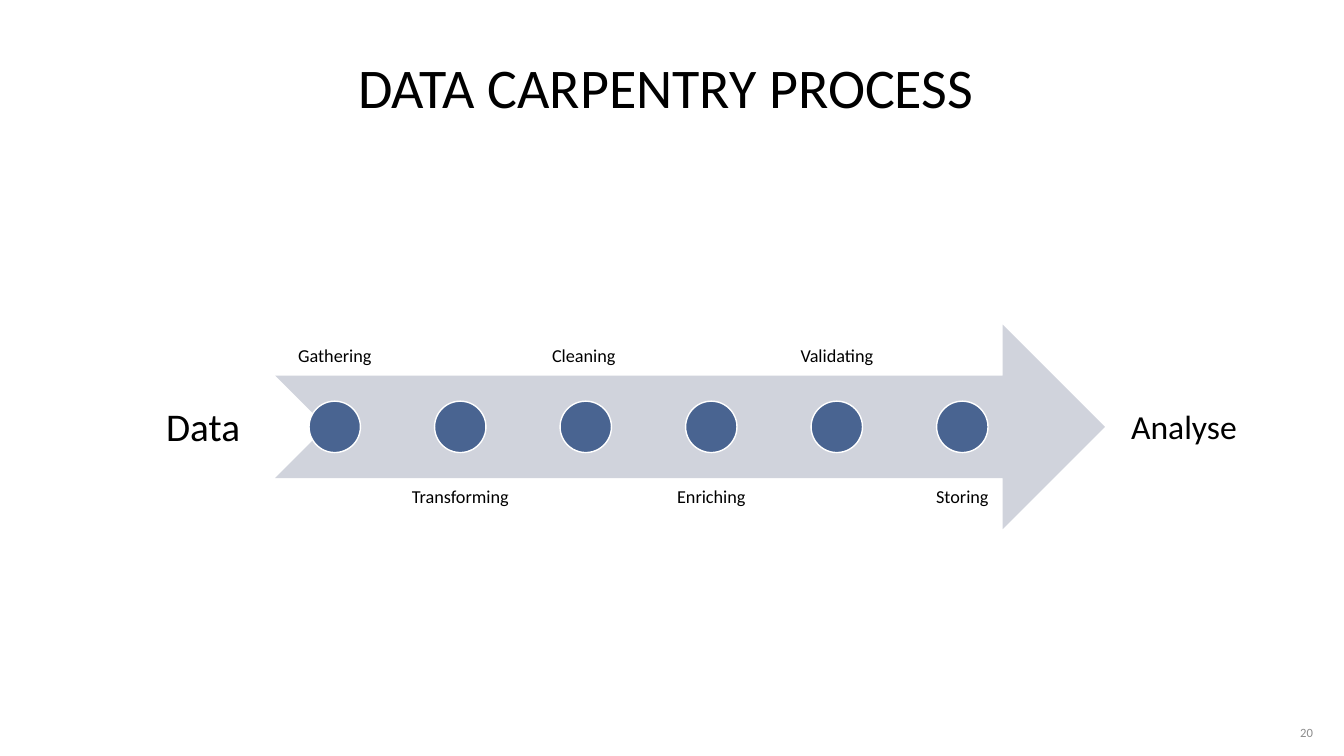
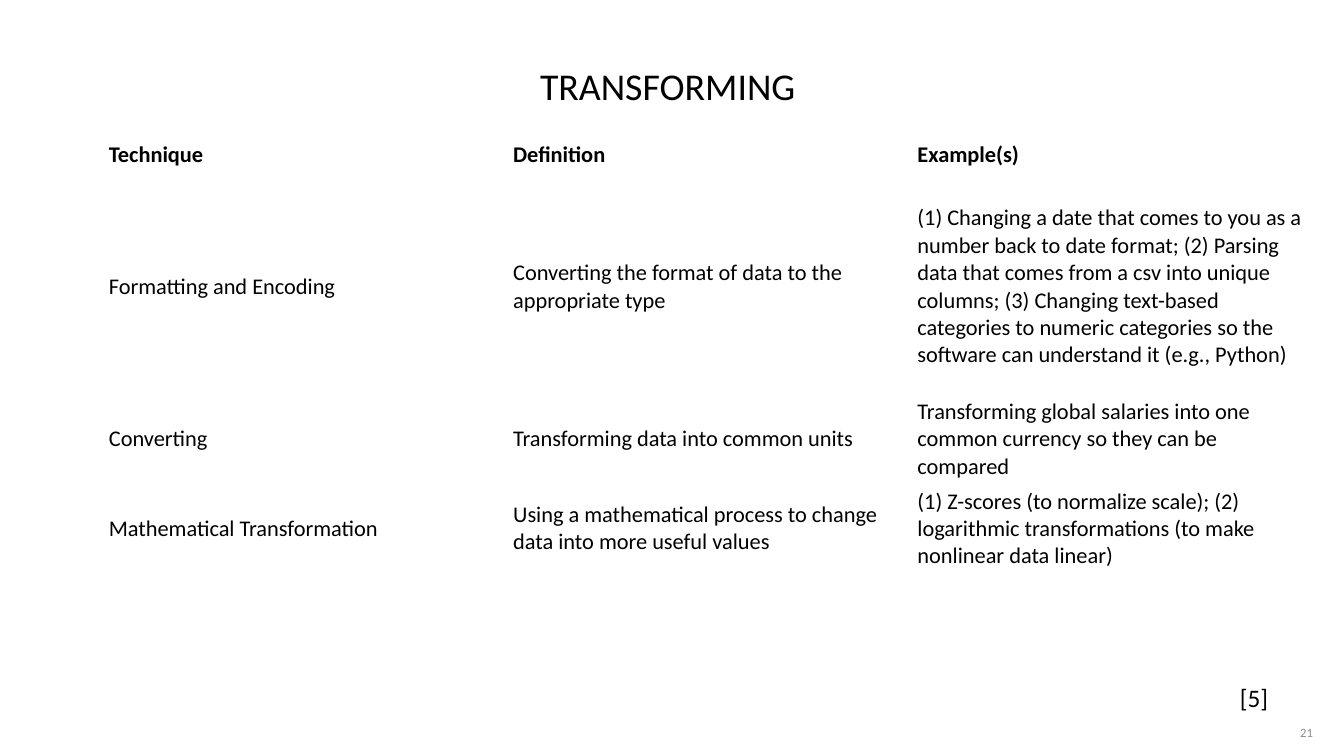
from pptx import Presentation
from pptx.dml.color import RGBColor
from pptx.enum import shapes, text
from pptx.util import Inches, Pt

FONT = "Calibri"
BLACK, GREY, PALE, BLUE, WHITE = "000000", "8C8C8C", "D0D3DC", "496491", "FFFFFF"
LEFT, CENTER, RIGHT = text.PP_ALIGN.LEFT, text.PP_ALIGN.CENTER, text.PP_ALIGN.RIGHT
TOP, MIDDLE, BOTTOM = text.MSO_ANCHOR.TOP, text.MSO_ANCHOR.MIDDLE, text.MSO_ANCHOR.BOTTOM

STEPS = ["Gathering", "Transforming ", "Cleaning ", "Enriching", "Validating", "Storing"]
TECHNIQUES = [
    ("Technique", "Definition", "Example(s)"),
    ("Formatting and Encoding",
     "Converting the format of data to the appropriate type",
     "(1) Changing a date that comes to you as a number back to date format; "
     "(2) Parsing data that comes from a csv into unique columns; "
     "(3) Changing text-based categories to numeric categories so the software "
     "can understand it (e.g., Python)"),
    ("Converting",
     "Transforming data into common units",
     "Transforming global salaries into one common currency so they can be compared"),
    ("Mathematical Transformation",
     "Using a mathematical process to change data into more useful values",
     "(1) Z-scores (to normalize scale); (2) logarithmic transformations "
     "(to make nonlinear data linear)"),
]


def rgb(color):
    return RGBColor.from_string(color)


def write(frame, words, size, color=BLACK, align=LEFT, bold=False):
    frame.text = words
    paragraph = frame.paragraphs[0]
    paragraph.alignment = align
    font = paragraph.runs[0].font
    font.name, font.size, font.bold = FONT, Pt(size), bold
    font.color.rgb = rgb(color)
    return paragraph


def add_label(parent, words, box, size, color=BLACK, align=LEFT, anchor=TOP):
    frame = parent.add_textbox(*map(Inches, box)).text_frame
    frame.word_wrap = True
    frame.vertical_anchor = anchor
    write(frame, words, size, color, align)
    return frame


def add_filled(parent, preset, box, fill, outline=None):
    shape = parent.add_shape(preset, *map(Inches, box))
    shape.shadow.inherit = False
    shape.fill.solid()
    shape.fill.fore_color.rgb = rgb(fill)
    if outline:
        shape.line.color.rgb = rgb(outline)
        shape.line.width = Pt(1)
    else:
        shape.line.fill.background()


def add_slide(prs, title, size, number):
    """Add a slide with the shared title and page number."""
    slide = prs.slides.add_slide(prs.slide_layouts[5])
    heading = slide.shapes.title
    heading.left, heading.top, heading.width, heading.height = map(
        Inches, (0.65, 0.4, 12.03, 0.9))
    heading.text_frame.vertical_anchor = MIDDLE
    write(heading.text_frame, title, size, align=CENTER)
    add_label(slide.shapes, str(number), (12.63, 7.07, 0.49, 0.4), 9, GREY, RIGHT, MIDDLE)
    return slide


def add_process(slide, steps):
    """Draw an arrow with one dot per step, labelled above and below in turn."""
    parts = slide.shapes.add_group_shape().shapes
    left, top, height = 2.73, 3.22, 2.03
    label_width, dot = 1.18, 0.51
    pitch = label_width * 1.055
    add_filled(parts, shapes.MSO_SHAPE.NOTCHED_RIGHT_ARROW, (left, top, 8.23, height), PALE)
    for i, step in enumerate(steps):
        x = left + i * pitch
        label_top, anchor = (4.74, TOP) if i % 2 else (1.7, BOTTOM)
        frame = add_label(parts, step, (x, label_top, label_width, height),
                          13, align=CENTER, anchor=anchor)
        frame.margin_left = frame.margin_right = Inches(0.1)
        frame.margin_top = frame.margin_bottom = Inches(0.1)
        frame.paragraphs[0].line_spacing = 0.9
        add_filled(parts, shapes.MSO_SHAPE.OVAL,
                   (x + (label_width - dot) / 2, top + (height - dot) / 2, dot, dot),
                   BLUE, WHITE)


def add_plain_table(slide, rows, box, row_heights):
    """Add a table without fills whose first row is bold."""
    table = slide.shapes.add_table(len(rows), len(rows[0]), *map(Inches, box)).table
    table.first_row = table.horz_banding = False
    for r, (row, height) in enumerate(zip(rows, row_heights)):
        table.rows[r].height = Inches(height)
        for c, words in enumerate(row):
            cell = table.cell(r, c)
            cell.fill.background()
            cell.vertical_anchor = MIDDLE
            cell.margin_left = cell.margin_right = Inches(0.08)
            cell.margin_top = cell.margin_bottom = Inches(0.04)
            write(cell.text_frame, words, 16, bold=r == 0)


def main():
    prs = Presentation()
    prs.slide_width, prs.slide_height = Inches(13.33), Inches(7.5)

    process = add_slide(prs, "DATA CARPENTRY PROCESS ", 40, 20)
    add_process(process, STEPS)
    add_label(process.shapes, "Data", (1.55, 3.94, 1.18, 0.57), 28)
    add_label(process.shapes, "Analyse", (11.12, 3.98, 1.34, 0.5), 24)

    transforming = add_slide(prs, "TRANSFORMING ", 27, 21)
    add_plain_table(transforming, TECHNIQUES, (1, 1.3, 12.03, 4.37), (0.48, 2.13, 0.89, 0.89))
    add_label(transforming.shapes, "[5]", (12.2, 6.72, 0.49, 0.4), 18)

    prs.save("out.pptx")


if __name__ == "__main__":
    main()
